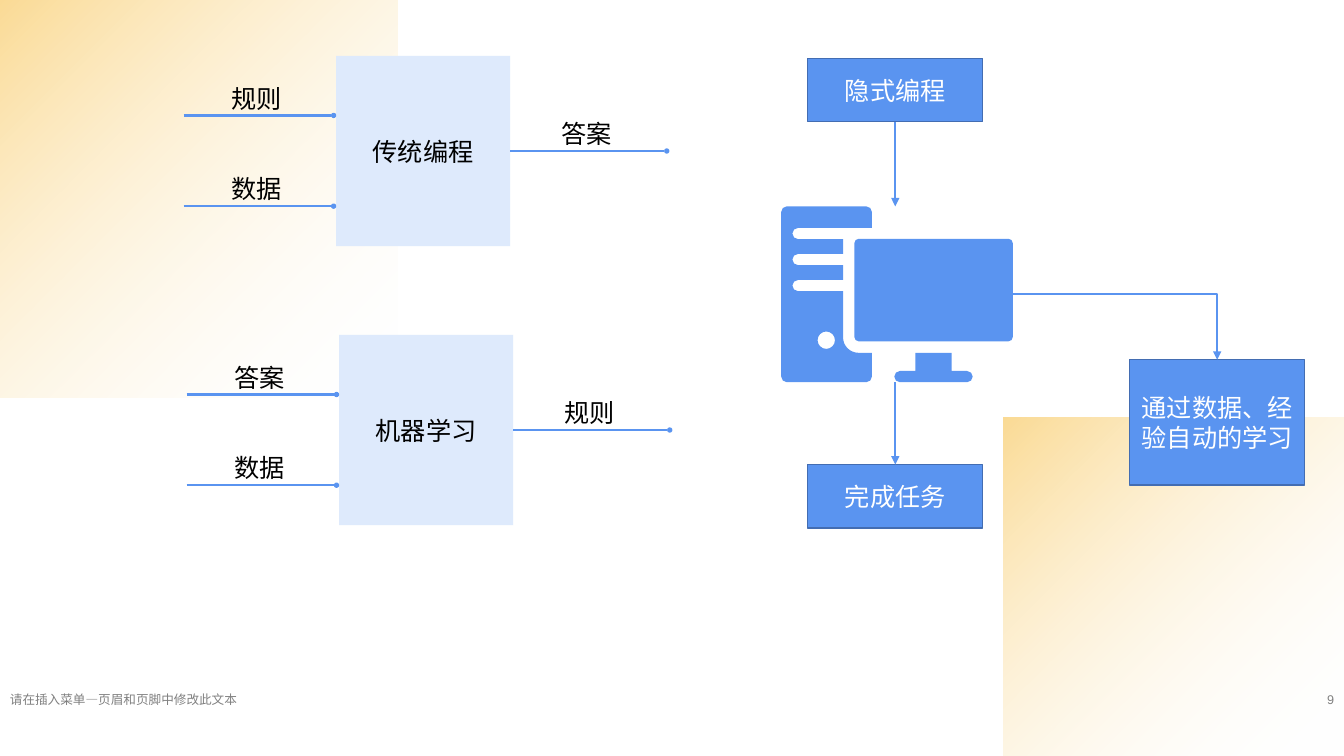
from lxml import etree
from pptx import Presentation
from pptx.dml.color import RGBColor
from pptx.enum.shapes import MSO_CONNECTOR, MSO_SHAPE
from pptx.enum.text import MSO_ANCHOR, PP_ALIGN
from pptx.oxml import parse_xml
from pptx.oxml.ns import nsdecls, qn
from pptx.util import Pt

RECTANGLE, OVAL = MSO_SHAPE.RECTANGLE, MSO_SHAPE.OVAL
STRAIGHT, ELBOW = MSO_CONNECTOR.STRAIGHT, MSO_CONNECTOR.ELBOW
LEFT, CENTER, RIGHT = PP_ALIGN.LEFT, PP_ALIGN.CENTER, PP_ALIGN.RIGHT
MIDDLE, TOP = MSO_ANCHOR.MIDDLE, MSO_ANCHOR.TOP

COLORS = {
    "blue": "5A94F0", "edge": "436DB2", "pale": "DEEAFC", "gold": "F7B629",
    "white": "FFFFFF", "black": "000000", "gray": "808080",
}


def add_block(shapes, place, text="", kind=RECTANGLE, fill=None, edge=None, size=18,
              color="black", align=CENTER, anchor=MIDDLE, wrap=True):
    lengths = [Pt(value) for value in place]
    if kind is None:
        box = shapes.add_textbox(*lengths)
    else:
        box = shapes.add_shape(kind, *lengths)
        box.shadow.inherit = False
    if fill:
        box.fill.solid()
        box.fill.fore_color.rgb = RGBColor.from_string(COLORS[fill])
    else:
        box.fill.background()
    if edge:
        box.line.color.rgb = RGBColor.from_string(COLORS[edge])
        box.line.width = Pt(1)
    else:
        box.line.fill.background()
    if text:
        box.text_frame.word_wrap = wrap
        box.text_frame.vertical_anchor = anchor
        para = box.text_frame.paragraphs[0]
        para.alignment = align
        span = para.add_run()
        span.text = text
        span.font.size = Pt(size)
        span.font.name = "Arial"
        span.font.color.rgb = RGBColor.from_string(COLORS[color])
    return box


def add_line(shapes, start, end, kind=STRAIGHT, arrow=False):
    line = shapes.add_connector(kind, *[Pt(value) for value in (*start, *end)])
    line.line.color.rgb = RGBColor.from_string(COLORS["blue"])
    line.line.width = Pt(1.5)
    if arrow:
        etree.SubElement(line.line._get_or_add_ln(), qn("a:tailEnd"), type="triangle")
    etree.SubElement(line._element.spPr, qn("a:effectLst"))
    return line


deck = Presentation()
deck.slide_width, deck.slide_height = Pt(960), Pt(540)
page = deck.slides.add_slide(deck.slide_layouts[6])

for left, top, side, flipped in [(0, 0, 284.2, False), (717, 298, 242.6, True)]:
    glow = add_block(page.shapes, (left, top, side, side))
    properties = glow._element.spPr
    properties.replace(properties.find(qn("a:noFill")), parse_xml(
        f'<a:gradFill {nsdecls("a")}><a:gsLst>'
        f'<a:gs pos="0"><a:srgbClr val="{COLORS["gold"]}"><a:alpha val="50000"/></a:srgbClr></a:gs>'
        f'<a:gs pos="100000"><a:srgbClr val="{COLORS["white"]}"><a:alpha val="0"/></a:srgbClr></a:gs>'
        '</a:gsLst><a:path path="circle"><a:fillToRect r="100000" b="100000"/></a:path></a:gradFill>'))
    if flipped:
        properties.xfrm.set("flipH", "1")
        properties.xfrm.set("flipV", "1")

for place, text, align in [
    ((0, 491, 326, 16.6), "请在插入菜单—页眉和页脚中修改此文本", LEFT),
    ((731, 491, 229, 16.6), "9", RIGHT),
]:
    add_block(page.shapes, place, text, kind=None, size=9, color="gray", align=align)

DOT = 3.8
for left, top, name, inputs, output in [
    (240.2, 39.9, "传统编程", ("规则", "数据"), "答案"),
    (242.3, 239.2, "机器学习", ("答案", "数据"), "规则"),
]:
    parts = page.shapes.add_group_shape().shapes
    method = add_block(parts, (left, top, 124.2, 136), name, fill="pale")
    flows = [
        (inputs[0], left - 109, left - DOT, top + 42.6),
        (inputs[1], left - 109, left - DOT, top + 107.4),
        (output, left + 124.2, left + 234.2, top + 68),
    ]
    for label, start, end, height in flows:
        line = add_line(parts, (start, height), (end, height))
        if label == output:
            line.begin_connect(method, 3)
        add_block(parts, (end, height - DOT / 2, DOT, DOT), kind=OVAL, fill="blue")
        add_block(parts, ((start + end) / 2 - 25.5, height - 26.8, 51, 29), label,
                  kind=None, align=LEFT, anchor=TOP, wrap=False)

screen = [(610.3, 170.6, 3), (723.4, 170.6, 3), (723.4, 243.8, 3), (610.3, 243.8, 3)]
stand = [
    (638.8, 265, 4), (653.8, 265, 0), (653.8, 252, 0), (679.8, 252, 0),
    (679.8, 265, 0), (694.8, 265, 4), (694.8, 273, 4), (638.8, 273, 4),
]
tower = [(558, 147.4, 4), (622.8, 147.4, 4), (622.8, 162.8, 0)]
for slot_top in (162.8, 181.4, 200):
    if slot_top > 162.8:
        tower.append((602.2, slot_top, 0))
    tower += [(566, slot_top, 4), (566, slot_top + 8, 4), (602.2, slot_top + 8, 0)]
tower += [(602.2, 252, 11), (622.8, 252, 0), (622.8, 273, 4), (558, 273, 4)]
button = [(584, 236.8, 6.2), (584, 249.2, 6.2), (596.4, 249.2, 6.2), (596.4, 236.8, 6.2)]

system = page.shapes.add_group_shape().shapes
builder = None
curve_starts = []
for corners in (screen, stand, tower, button):
    outline = []
    for index, (x, y, radius) in enumerate(corners):
        sides = []
        for near in (corners[index - 1], corners[(index + 1) % len(corners)]):
            across, down = near[0] - x, near[1] - y
            span = abs(across) + abs(down)
            sides.append((across / span * radius, down / span * radius))
        steps = [(1, 0), (0.45, 0), (0, 0.45), (0, 1)] if radius else [(0, 0)]
        for back, ahead in steps:
            curve_starts.append(back == 0.45)
            outline.append((Pt(x + back * sides[0][0] + ahead * sides[1][0]),
                            Pt(y + back * sides[0][1] + ahead * sides[1][1])))
    if builder is None:
        builder = system.build_freeform(*outline[0], scale=1.0)
    else:
        builder.move_to(*outline[0])
    builder.add_line_segments(outline[1:], close=True)
computer = builder.convert_to_shape()
computer.shadow.inherit = False
computer.fill.solid()
computer.fill.fore_color.rgb = RGBColor.from_string(COLORS["blue"])
computer.line.fill.background()

steps = [step for step in computer._element.iter(qn("a:moveTo"), qn("a:lnTo"))]
for index, starts_curve in enumerate(curve_starts):
    if starts_curve:
        curve = etree.Element(qn("a:cubicBezTo"))
        steps[index].addprevious(curve)
        for step in steps[index:index + 3]:
            curve.append(step[0])
            step.getparent().remove(step)

implicit, task, learning = [
    add_block(system, place, text, fill="blue", edge="edge", color="white")
    for place, text in [
        ((577, 41.6, 125, 45.4), "隐式编程"),
        ((577, 331.8, 125, 45.4), "完成任务"),
        ((807, 257, 125, 89.6), "通过数据、经验自动的学习"),
    ]
]
add_line(system, (639.5, 87), (639.5, 147.4), arrow=True).begin_connect(implicit, 2)
add_line(system, (639.5, 273), (639.5, 331.8), arrow=True).end_connect(task, 0)
bend = add_line(system, (723.4, 210), (869.5, 257), kind=ELBOW, arrow=True)
bend._element.spPr.find(qn("a:prstGeom")).set("prst", "bentConnector2")

deck.save("out.pptx")
